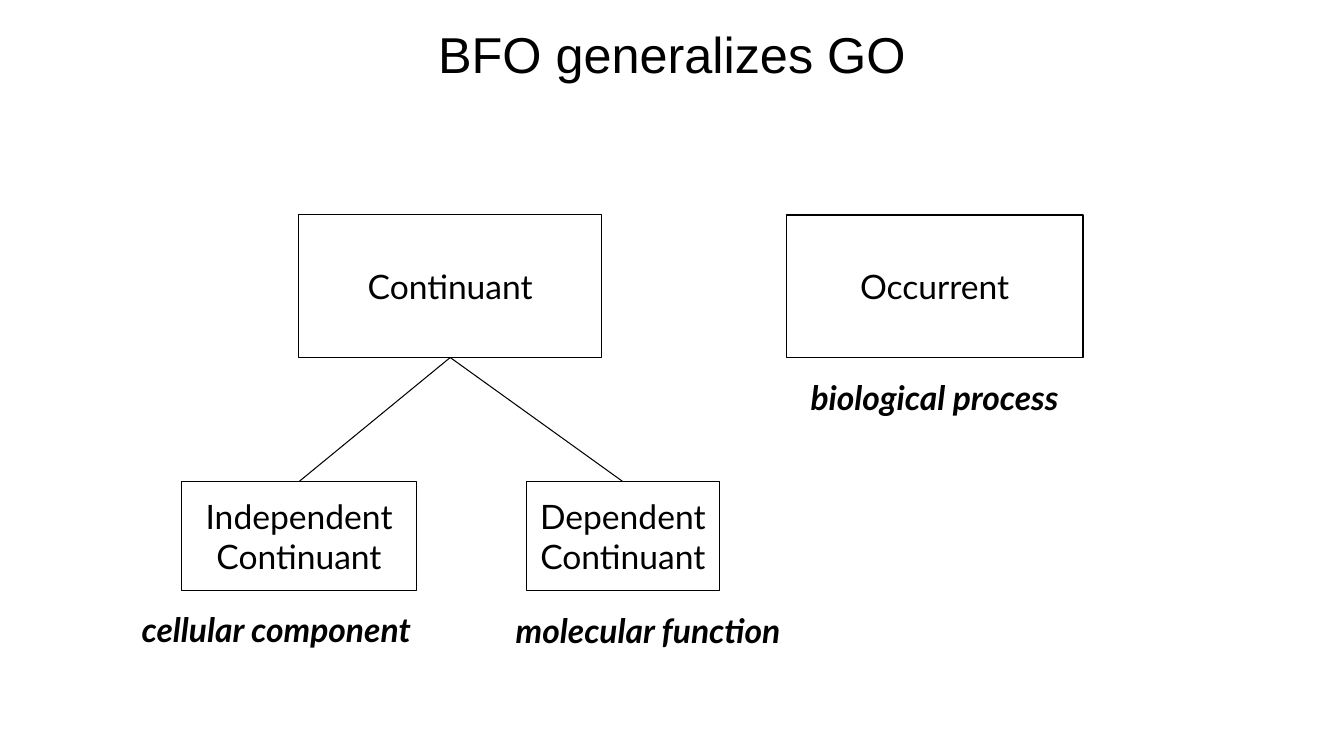
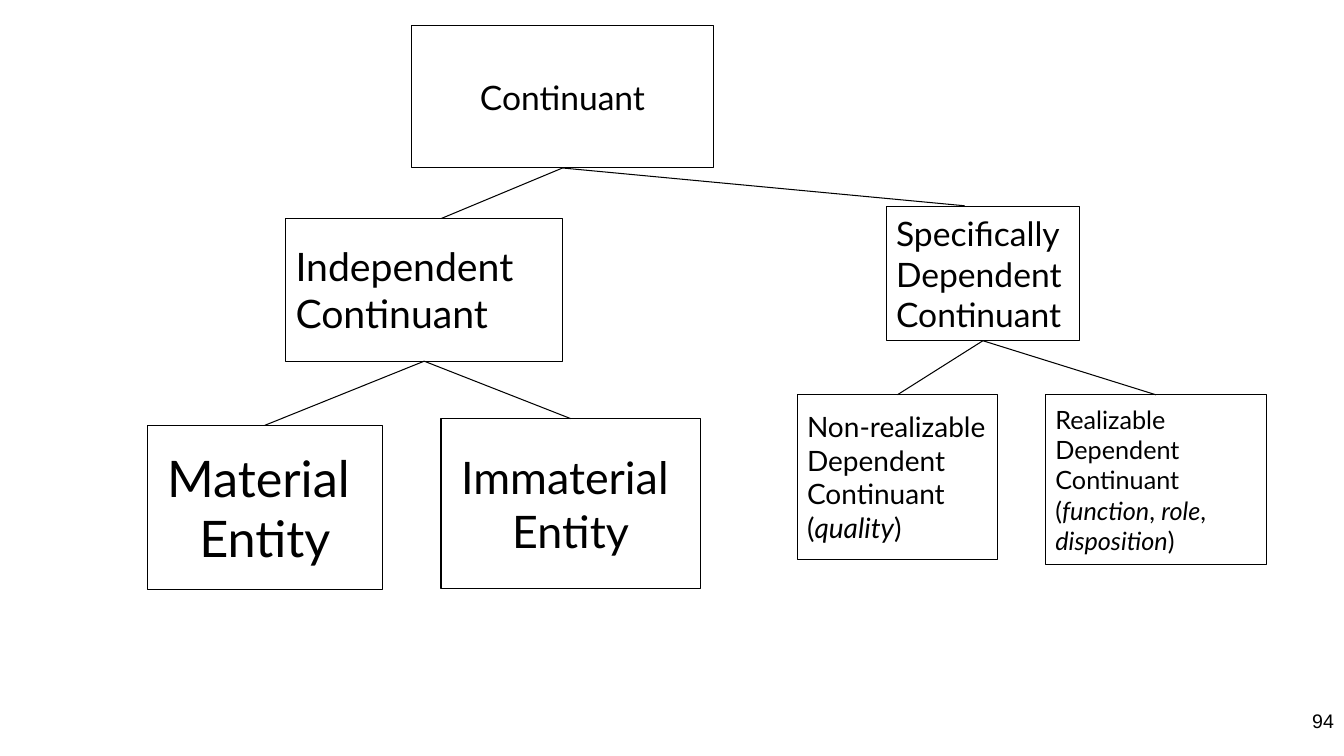
from dataclasses import dataclass
from typing import Any, Optional

from lxml.etree import SubElement
from pptx import Presentation
from pptx.dml.color import RGBColor
from pptx.enum.shapes import MSO_CONNECTOR, MSO_SHAPE
from pptx.enum.text import MSO_ANCHOR, MSO_AUTO_SIZE, PP_ALIGN
from pptx.oxml.ns import qn
from pptx.shapes.autoshape import Shape
from pptx.slide import Slide
from pptx.util import Pt

TOP, BOTTOM = 0, 2


@dataclass(frozen=True)
class Theme:
    ink: RGBColor = RGBColor(0, 0, 0)
    paper: RGBColor = RGBColor(255, 255, 255)
    title_font: str = "Arial"
    body_font: str = "Lato"
    line: float = 0.75
    title: float = 36
    body: float = 24
    number: float = 14


THEME = Theme()


@dataclass(frozen=True)
class Area:
    left: float
    top: float
    width: float
    height: float


@dataclass(frozen=True)
class Node:
    """A class box; asterisks in its lines switch italics on and off."""
    name: str
    area: Area
    lines: tuple[str, ...]
    size: float = THEME.body
    align: PP_ALIGN = PP_ALIGN.CENTER


@dataclass(frozen=True)
class Branch:
    """A line from parent to child, or to a free point when one is given."""
    parent: str
    child: str
    point: Optional[tuple[float, float]] = None


@dataclass(frozen=True)
class Caption:
    text: str
    area: Area


GO_NODES = (
    Node("continuant", Area(213.6, 153.2, 216, 102.2), ("Continuant",)),
    Node("occurrent", Area(561.6, 153.6, 212, 101.6), ("Occurrent",)),
    Node("independent", Area(129.6, 344, 168, 77.8),
         ("Independent", "Continuant")),
    Node("dependent", Area(375.8, 344, 138.2, 77.8),
         ("Dependent", "Continuant")),
)
GO_BRANCHES = (
    Branch("continuant", "independent"),
    Branch("continuant", "dependent"),
)
GO_CAPTIONS = (
    Caption("cellular component", Area(70.6, 431.6, 253.4, 36.4)),
    Caption("biological process", Area(538.6, 265.8, 257.8, 36.4)),
    Caption("molecular function", Area(337.6, 431.8, 250.6, 36.4)),
)

CONTINUANT_NODES = (
    Node("continuant", Area(293.8, 18, 216, 102), ("Continuant",)),
    Node("independent", Area(204, 156, 198, 102),
         ("Independent", "Continuant"), 28, PP_ALIGN.LEFT),
    Node("specific", Area(633, 147.4, 138.2, 96),
         ("Specifically", "Dependent", "Continuant"), 24, PP_ALIGN.LEFT),
    Node("non-realizable", Area(569.4, 282, 143.2, 117.4),
         ("Non-realizable", "Dependent", "Continuant", "(*quality*)"),
         20, PP_ALIGN.LEFT),
    Node("realizable", Area(746.8, 282, 157.8, 121.4),
         ("Realizable", "Dependent", "Continuant",
          "(*function*, *role*,", "*disposition*)"), 18, PP_ALIGN.LEFT),
    Node("material", Area(105.2, 303.8, 168, 117.4),
         ("Material ", "Entity"), 36),
    Node("immaterial", Area(315, 299, 185.2, 121.6),
         ("Immaterial ", "Entity"), 32),
)
CONTINUANT_BRANCHES = (
    Branch("continuant", "independent", (315.4, 156)),
    Branch("continuant", "specific", (689, 147)),
    Branch("specific", "non-realizable"),
    Branch("specific", "realizable"),
    Branch("independent", "material"),
    Branch("independent", "immaterial"),
)


def apply(target: Any, values: dict[str, Any]) -> None:
    for name, value in values.items():
        setattr(target, name, value)


def place(area: Area) -> tuple[Pt, Pt, Pt, Pt]:
    return Pt(area.left), Pt(area.top), Pt(area.width), Pt(area.height)


def write(shape: Shape, lines: tuple[str, ...], align: PP_ALIGN,
          font: dict[str, Any]) -> None:
    """Write one paragraph per line, with italics between asterisks."""
    frame = shape.text_frame
    for index, line in enumerate(lines):
        para = frame.add_paragraph() if index else frame.paragraphs[0]
        para.alignment = align
        for part, text in enumerate(line.split("*")):
            if text:
                span = para.add_run()
                span.text = text
                apply(span.font, {"italic": part % 2 == 1} | font)
                span.font.color.rgb = THEME.ink


def add_title(page: Slide, text: str) -> None:
    title = page.shapes.title
    left, top, width, height = place(Area(120, 21.6, 720, 32.4))
    apply(title, {"left": left, "top": top, "width": width, "height": height})
    apply(title.text_frame, {"vertical_anchor": MSO_ANCHOR.MIDDLE,
                             "auto_size": MSO_AUTO_SIZE.NONE})
    write(title, (text,), PP_ALIGN.CENTER,
          {"name": THEME.title_font, "size": Pt(THEME.title)})


def add_node(page: Slide, node: Node) -> Shape:
    box = page.shapes.add_shape(MSO_SHAPE.RECTANGLE, *place(node.area))
    box.shadow.inherit = False
    box.fill.background()
    box.line.color.rgb = THEME.ink
    box.line.width = Pt(THEME.line)
    apply(box.text_frame, {"word_wrap": False,
                           "vertical_anchor": MSO_ANCHOR.MIDDLE})
    write(box, node.lines, node.align,
          {"name": THEME.body_font, "size": Pt(node.size)})
    return box


def add_branch(page: Slide, branch: Branch, boxes: dict[str, Shape]) -> None:
    x, y = branch.point or (0, 0)
    line = page.shapes.add_connector(MSO_CONNECTOR.STRAIGHT,
                                     Pt(0), Pt(0), Pt(x), Pt(y))
    line.begin_connect(boxes[branch.parent], BOTTOM)
    if branch.point is None:
        line.end_connect(boxes[branch.child], TOP)
    line.line.color.rgb = THEME.ink
    line.line.width = Pt(THEME.line)
    SubElement(line._element.spPr, qn("a:effectLst"))


def add_tree(page: Slide, nodes: tuple[Node, ...],
             branches: tuple[Branch, ...]) -> None:
    boxes = {node.name: add_node(page, node) for node in nodes}
    for branch in branches:
        add_branch(page, branch, boxes)


def add_text(page: Slide, text: str, area: Area, align: PP_ALIGN,
             font: dict[str, Any]) -> None:
    box = page.shapes.add_textbox(*place(area))
    box.text_frame.word_wrap = True
    write(box, (text,), align, font)


def add_page(deck: Any, layout: int) -> Slide:
    page = deck.slides.add_slide(deck.slide_layouts[layout])
    page.background.fill.solid()
    page.background.fill.fore_color.rgb = THEME.paper
    return page


def build_go_page(deck: Any) -> None:
    page = add_page(deck, 5)
    add_title(page, "BFO generalizes GO")
    add_tree(page, GO_NODES, GO_BRANCHES)
    for caption in GO_CAPTIONS:
        add_text(page, caption.text, caption.area, PP_ALIGN.CENTER,
                 {"name": THEME.body_font, "size": Pt(THEME.body),
                  "bold": True, "italic": True})


def build_continuant_page(deck: Any) -> None:
    page = add_page(deck, 6)
    add_tree(page, CONTINUANT_NODES, CONTINUANT_BRANCHES)
    add_text(page, "94", Area(736, 502.6, 224, 37.4), PP_ALIGN.RIGHT,
             {"name": THEME.title_font, "size": Pt(THEME.number)})


def main() -> None:
    deck = Presentation()
    apply(deck, {"slide_width": Pt(960), "slide_height": Pt(540)})
    build_go_page(deck)
    build_continuant_page(deck)
    deck.save("out.pptx")


if __name__ == "__main__":
    main()
